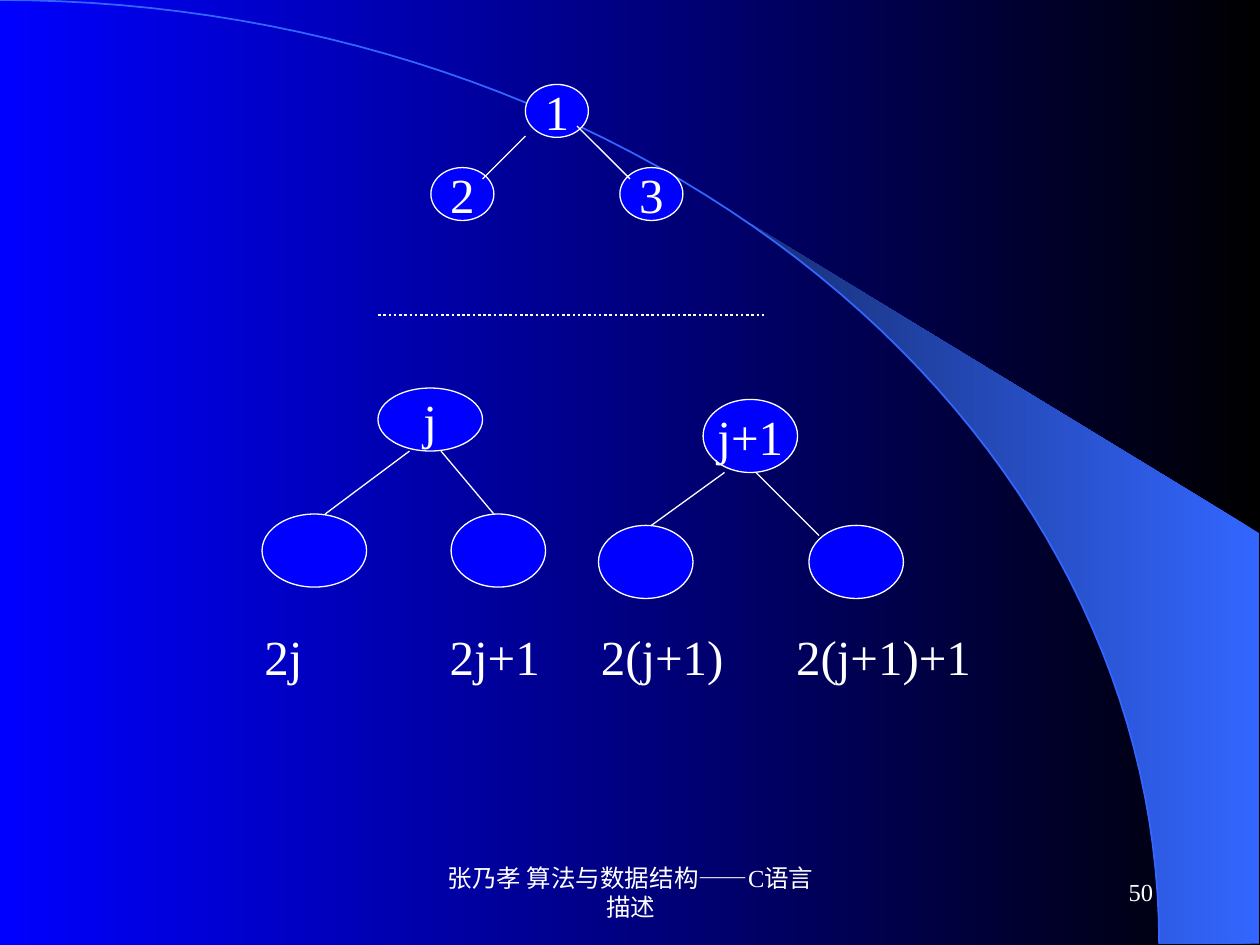
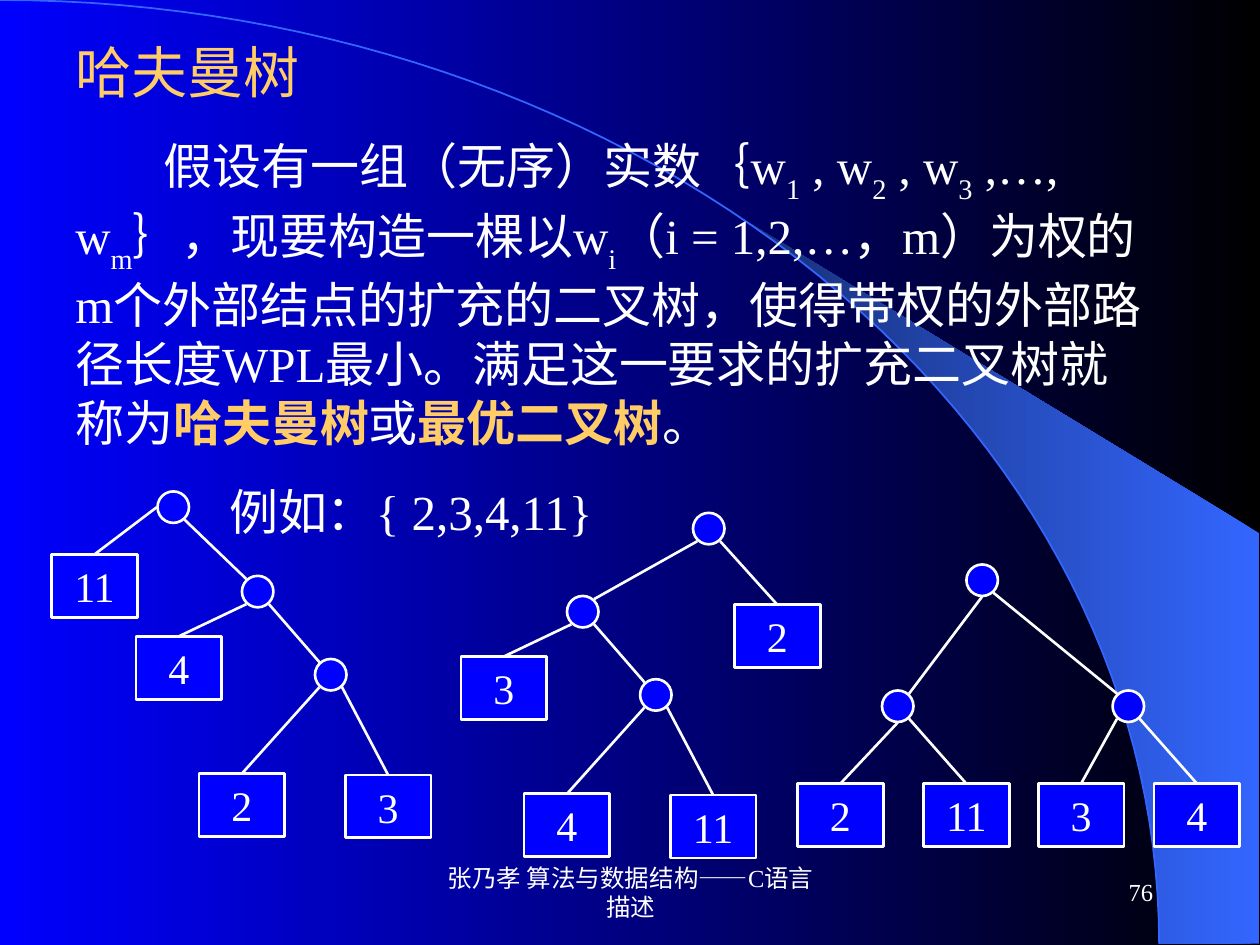
from dataclasses import dataclass
from math import asin, cos, pi, sin
from typing import Optional

from lxml.etree import SubElement
from pptx import Presentation
from pptx.dml.color import RGBColor as Rgb
from pptx.enum.dml import MSO_LINE_DASH_STYLE as Dash
from pptx.enum.shapes import MSO_CONNECTOR as Connector, MSO_SHAPE as Preset
from pptx.enum.text import MSO_ANCHOR as Anchor, PP_ALIGN as Align
from pptx.oxml.ns import qn
from pptx.util import Inches, Pt


@dataclass(frozen=True)
class Theme:
    black: Rgb = Rgb(0, 0, 0)
    blue: Rgb = Rgb(0, 0, 0xFF)
    white: Rgb = Rgb(0xFF, 0xFF, 0xFF)
    gold: Rgb = Rgb(0xFF, 0xCC, 0x66)
    arc: Rgb = Rgb(0x33, 0x66, 0xFF)
    wedge_dark: Rgb = Rgb(0x17, 0x2F, 0x75)
    font: str = "Times New Roman"
    title_font: str = "Noto Sans CJK SC"
    title: int = 32
    body: int = 28
    leaf: int = 24
    footer: int = 14
    thin: float = 0.75
    thick: float = 1.5


THEME = Theme()
TITLE_ONLY, BLANK = 5, 6
FOOTER = "张乃孝 算法与数据结构——C语言描述"


def add_span(para, text, size=THEME.body, color=THEME.white, font=THEME.font,
             bold=False, sub=False):
    span = para.add_run()
    span.text = text
    span.font.size = Pt(size)
    span.font.color.rgb = color
    span.font.name = font
    span.font.bold = bold
    if sub:
        span._r.get_or_add_rPr().set("baseline", "-30000")


def write(para, text, align=Align.LEFT, before=0, indent=0, tabs=(), **style):
    """Fill a paragraph from a string or a list of (text, style) pairs."""
    para.alignment = align
    para.space_before = Pt(before)
    props = para._p.get_or_add_pPr()
    if indent:
        props.set("indent", str(Inches(indent)))
    if tabs:
        stops = SubElement(props, qn("a:tabLst"))
        for tab in tabs:
            SubElement(stops, qn("a:tab"), pos=str(Inches(tab)), algn="l")
    pairs = [(text, {})] if isinstance(text, str) else text
    for part, extra in pairs:
        add_span(para, part, **{**style, **extra})


def add_text(page, left, top, width, height, anchor=Anchor.TOP):
    box = page.shapes.add_textbox(*map(Inches, (left, top, width, height)))
    box.text_frame.word_wrap = True
    box.text_frame.vertical_anchor = anchor
    return box.text_frame


def add_node(page, preset, left, top, width, height, weight, text="",
             anchor=Anchor.MIDDLE, size=THEME.body):
    node = page.shapes.add_shape(preset, *map(Inches, (left, top, width, height)))
    node.shadow.inherit = False
    node.fill.solid()
    node.fill.fore_color.rgb = THEME.blue
    node.line.color.rgb = THEME.white
    node.line.width = Pt(weight)
    if text:
        frame = node.text_frame
        frame.word_wrap = False
        frame.vertical_anchor = anchor
        write(frame.paragraphs[0], text, align=Align.CENTER, size=size)
    return node


def add_line(page, start, end, weight):
    line = page.shapes.add_connector(Connector.STRAIGHT, *map(Inches, (*start, *end)))
    SubElement(line._element.spPr, qn("a:effectLst"))
    line.line.color.rgb = THEME.white
    line.line.width = Pt(weight)
    return line


def set_gradient(fill, first, last):
    fill.gradient()
    fill.gradient_angle = 180
    for stop, color, position in zip(fill.gradient_stops, (first, last), (0, 1)):
        stop.color.rgb = color
        stop.position = position


# Backdrop and footer

def arc_points(start_angle, steps=60):
    """Points of the big quarter ellipse, from an angle down to its lower end."""
    radius_x, radius_y = 9.2, 7.49
    angles = [start_angle + (pi / 2 - start_angle) * i / steps for i in range(steps + 1)]
    return [(radius_x * sin(a), radius_y * (1 - cos(a))) for a in angles]


def add_outline(page, points, close):
    start, *rest = [(Inches(x), Inches(y)) for x, y in points]
    builder = page.shapes.build_freeform(*start)
    builder.add_line_segments(rest, close=close)
    outline = builder.convert_to_shape()
    outline.shadow.inherit = False
    return outline


def add_backdrop(page):
    corners = [(9.99, 7.49), (9.99, 4.23)]
    wedge = add_outline(page, corners + arc_points(asin(0.64)), close=True)
    set_gradient(wedge.fill, THEME.arc, THEME.wedge_dark)
    wedge.line.fill.background()
    arc = add_outline(page, arc_points(0), close=False)
    arc.fill.background()
    arc.line.color.rgb = THEME.arc
    arc.line.width = Pt(1)


def add_footer(page, number):
    top, height = 6.83, 0.5
    for left, width, text, align in ((3.42, 3.17, FOOTER, Align.CENTER),
                                     (7.17, 2.08, str(number), Align.RIGHT)):
        frame = add_text(page, left, top, width, height, Anchor.MIDDLE)
        write(frame.paragraphs[0], text, align=align, size=THEME.footer)


def add_page(deck, layout, number):
    page = deck.slides.add_slide(deck.slide_layouts[layout])
    add_backdrop(page)
    add_footer(page, number)
    return page


# Heap numbering

def add_family(page, left, top, nodes, edges):
    """Draw ovals (x, y, width, height, label) and edges from a corner point."""
    for x, y, width, height, label in nodes:
        add_node(page, Preset.OVAL, left + x, top + y, width, height, THEME.thin, label)
    for x1, y1, x2, y2 in edges:
        add_line(page, (left + x1, top + y1), (left + x2, top + y2), THEME.thin)


def build_numbering_page(deck):
    page = add_page(deck, BLANK, 50)
    add_family(page, 3.42, 0.67,
               [(0.75, 0, 0.5, 0.42, "1"), (0, 0.66, 0.5, 0.42, "2"),
                (1.5, 0.66, 0.5, 0.42, "3")],
               [(0.75, 0.41, 0.41, 0.75), (1.16, 0.33, 1.58, 0.75)])
    divider = add_line(page, (3, 2.5), (6.08, 2.5), THEME.thick)
    divider.line.dash_style = Dash.ROUND_DOT
    add_family(page, 2.08, 3.08,
               [(0.92, 0, 0.83, 0.5, "j"), (0, 1, 0.83, 0.58, ""),
                (1.5, 1, 0.75, 0.58, "")],
               [(1.17, 0.5, 0.5, 1), (1.42, 0.5, 1.84, 1)])
    add_family(page, 4.75, 3.17,
               [(0.83, 0, 0.75, 0.58, "j+1"), (0, 1, 0.75, 0.58, ""),
                (1.67, 1, 0.75, 0.58, "")],
               [(1, 0.58, 0.42, 1), (1.25, 0.58, 1.75, 1.08)])
    labels = add_text(page, 1.42, 4.92, 7.25, 0.57)
    write(labels.paragraphs[0], "\t2j\t2j+1\t2(j+1)\t2(j+1)+1",
          tabs=(0.58, 2.05, 3.25, 4.8))


# Huffman trees

@dataclass
class Node:
    """A leaf when it has a label; dx and dy count from the parent's corner."""
    dx: float
    dy: float
    label: str = ""
    left: Optional["Node"] = None
    right: Optional["Node"] = None
    left_exit: tuple = (-0.09, 0.1)


def spine(dx, dy, outer, inner_left, inner_right):
    inner = Node(0.58, 0.66, left=Node(-0.92, 0.91, inner_left),
                 right=Node(0.24, 0.92, inner_right))
    return Node(dx, dy, left=Node(-0.84, 0.48, outer), right=inner)


def fork(dx, dy, left, right, left_dx, **extra):
    return Node(dx, dy, left=Node(left_dx, 0.74, left), right=Node(0.33, 0.74, right),
                **extra)


def add_tree(page, node, left, top):
    """Draw a node and all below it; return its shape."""
    x, y = left + node.dx, top + node.dy
    if node.label:
        return add_node(page, Preset.RECTANGLE, x, y, 0.68, 0.5, THEME.thick,
                        node.label, Anchor.TOP, THEME.leaf)
    circle = add_node(page, Preset.OVAL, x, y, 0.25, 0.25, THEME.thick)
    middle_x, middle_y = x + 0.125, y + 0.125
    for child, leave, enter_x in ((node.left, node.left_exit, 0.09),
                                  (node.right, (0.09, 0.1), -0.09)):
        shape = add_tree(page, child, x, y)
        start = (middle_x + leave[0], middle_y + leave[1])
        end = (middle_x + child.dx + enter_x, middle_y + child.dy - 0.1)
        edge = add_line(page, start, end, THEME.thick)
        if child.label:
            edge.end_connect(shape, 0)
    return circle


def add_title(page, text):
    title = page.shapes.title
    title.left, title.top, title.width, title.height = map(Inches, (0.5, 0.25, 8.75, 0.7))
    title.text_frame.vertical_anchor = Anchor.TOP
    write(title.text_frame.paragraphs[0], text, size=THEME.title,
          color=THEME.gold, font=THEME.title_font)


def add_definition(page):
    sub, key = {"sub": True}, {"color": THEME.gold, "bold": True}
    frame = add_text(page, 0.5, 1.03, 8.75, 3.31)
    write(frame.paragraphs[0], [
        ("假设有一组（无序）实数｛w", {}), ("1", sub), (" , w", {}), ("2", sub),
        (" , w", {}), ("3", sub), (" ,…, w", {}), ("m", sub),
        ("｝，现要构造一棵以w", {}), ("i", sub),
        ("（i = 1,2,…，m）为权的m个外部结点的扩充的二叉树，使得带权的"
         "外部路径长度WPL最小。满足这一要求的扩充二叉树就称为", {}),
        ("哈夫曼树", key), ("或", {}), ("最优二叉树", key), ("。", {})], indent=0.7)
    write(frame.add_paragraph(), "例如：{ 2,3,4,11}", before=17.5, indent=1.22)


def build_huffman_page(deck):
    page = add_page(deck, TITLE_ONLY, 76)
    add_title(page, "哈夫曼树")
    add_definition(page)
    trees = (
        Node(1.25, 3.9, left=Node(-0.84, 0.5, "11"),
             right=spine(0.67, 0.67, "4", "2", "3"), left_exit=(-0.13, 0)),
        Node(5.5, 4.07, left=spine(-1, 0.66, "3", "4", "11"),
             right=Node(0.33, 0.73, "2")),
        Node(7.67, 4.48, left=fork(-0.67, 1, "2", "11", -0.67, left_exit=(0, 0.13)),
             right=fork(1.16, 1, "3", "4", -0.59), left_exit=(0, 0.13)),
    )
    for tree in trees:
        add_tree(page, tree, 0, 0)


def main():
    deck = Presentation()
    deck.slide_width, deck.slide_height = Inches(10), Inches(7.5)
    set_gradient(deck.slide_master.background.fill, THEME.black, THEME.blue)
    build_numbering_page(deck)
    build_huffman_page(deck)
    deck.save("out.pptx")


if __name__ == "__main__":
    main()
